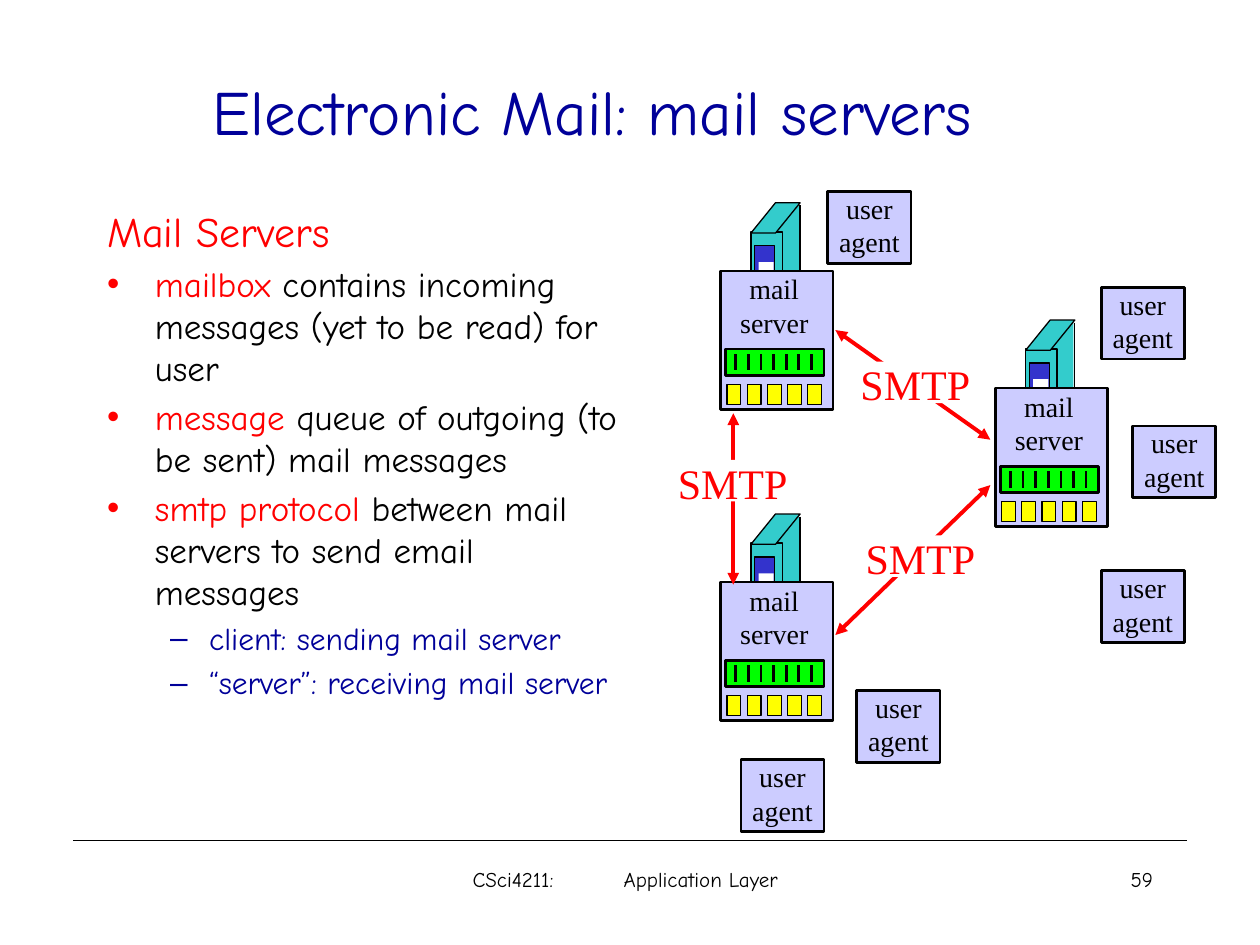
from pptx import Presentation
from pptx import util as u
from pptx.dml.color import RGBColor
from pptx.enum import shapes, text
from pptx.oxml import xmlchemy
from pptx.oxml.ns import qn

BLACK = RGBColor(0x00, 0x00, 0x00)
WHITE = RGBColor(0xFF, 0xFF, 0xFF)
RED = RGBColor(0xFF, 0x00, 0x00)
NAVY = RGBColor(0x00, 0x00, 0x99)
BLUE = RGBColor(0x33, 0x33, 0xCC)
TEAL = RGBColor(0x33, 0xCC, 0xCC)
LAVENDER = RGBColor(0xCC, 0xCC, 0xFF)
GREEN = RGBColor(0x00, 0xFF, 0x00)
YELLOW = RGBColor(0xFF, 0xFF, 0x00)

SERVERS = [(7.9, 3.08), (5.72, 4.62), (5.72, 2.15)]
AGENTS = [(8.74, 2.28), (8.99, 3.38), (8.74, 4.53), (6.8, 5.48), (5.88, 6.03), (6.57, 1.52)]
LINKS = [(6.63, 2.62, 7.86, 3.49), (6.63, 5.04, 7.86, 3.85), (5.82, 4.64, 5.82, 3.28)]
PROTOCOL_LABELS = [(6.83, 4.25), (6.79, 2.87), (5.34, 3.65)]
BODY = [
    (None, 24, [("Mail Servers", RED)]),
    ("•", 20, [("mailbox", RED), (" contains incoming messages (yet to be read) for user", BLACK)]),
    ("•", 20, [("message", RED), (" queue of outgoing (to be sent) mail messages", BLACK)]),
    ("•", 20, [("smtp protocol", RED), (" between mail servers to send email messages", BLACK)]),
    ("–", 18, [("client: sending mail server", NAVY)]),
    ("–", 18, [("“server”: receiving mail server", NAVY)]),
]


class MailSlide:
    """Draws the elements of the mail server slide in one shared style."""

    text_font = "Comic Neue"
    diagram_font = "Times New Roman"

    def __init__(self, slide):
        self.slide = slide

    def format_font(self, font, size, color, name=text_font):
        font.size = u.Pt(size)
        font.color.rgb = color
        font.name = name

    def place(self, shape, left, top, width, height):
        shape.left, shape.top = u.Inches(left), u.Inches(top)
        shape.width, shape.height = u.Inches(width), u.Inches(height)
        shape.text_frame.auto_size = text.MSO_AUTO_SIZE.NONE

    def title(self, wording):
        shape = self.slide.shapes.title
        self.place(shape, 0.45, 0.25, 8.5, 1.25)
        shape.text_frame.text = wording
        shape.text_frame.vertical_anchor = text.MSO_ANCHOR.MIDDLE
        paragraph = shape.text_frame.paragraphs[0]
        paragraph.alignment = text.PP_ALIGN.CENTER
        self.format_font(paragraph.runs[0].font, 36, NAVY)

    def body(self, items):
        shape = self.slide.placeholders[1]
        self.place(shape, 0.75, 1.58, 4.3, 4.5)
        frame = shape.text_frame
        for index, (bullet, size, pieces) in enumerate(items):
            paragraph = frame.add_paragraph() if index else frame.paragraphs[0]
            paragraph.level = 1 if bullet == "–" else 0
            margin, indent = (0.81, -0.31) if paragraph.level else (0.38, -0.38)
            paragraph.space_before = u.Pt(size * 0.2 if index else 0)
            properties = paragraph._p.get_or_add_pPr()
            properties.set("marL", str(u.Inches(margin)))
            properties.set("indent", str(u.Inches(indent)))
            if bullet:
                xmlchemy.OxmlElement("a:buChar")
                mark = properties.makeelement(qn("a:buChar"), {"char": bullet})
            else:
                mark = properties.makeelement(qn("a:buNone"), {})
            properties.append(mark)
            for wording, color in pieces:
                run = paragraph.add_run()
                run.text = wording
                self.format_font(run.font, size, color)

    def box(self, left, top, width, height, fill, line=0, kind=shapes.MSO_SHAPE.RECTANGLE):
        shape = self.slide.shapes.add_shape(
            kind, u.Inches(left), u.Inches(top), u.Inches(width), u.Inches(height))
        shape.shadow.inherit = False
        shape.fill.solid()
        shape.fill.fore_color.rgb = fill
        if line:
            shape.line.color.rgb = BLACK
            shape.line.width = u.Pt(line)
        else:
            shape.line.fill.background()
        return shape

    def line(self, x1, y1, x2, y2, width=0.75, color=BLACK, arrows=False):
        connector = self.slide.shapes.add_connector(
            shapes.MSO_CONNECTOR.STRAIGHT,
            u.Inches(x1), u.Inches(y1), u.Inches(x2), u.Inches(y2))
        connector.line.color.rgb = color
        connector.line.width = u.Pt(width)
        if arrows:
            outline = connector.line._get_or_add_ln()
            for end in ("a:headEnd", "a:tailEnd"):
                outline.append(outline.makeelement(qn(end), {"type": "triangle"}))
        properties = connector._element.spPr
        properties.append(properties.makeelement(qn("a:effectLst"), {}))

    def label(self, wording, left, top, width, height, size=16, color=BLACK,
              name=diagram_font, align=text.PP_ALIGN.CENTER, wrap=False):
        shape = self.slide.shapes.add_textbox(
            u.Inches(left), u.Inches(top), u.Inches(width), u.Inches(height))
        frame = shape.text_frame
        frame.word_wrap = wrap
        frame.text = wording
        for paragraph in frame.paragraphs:
            paragraph.alignment = align
            for run in paragraph.runs:
                self.format_font(run.font, size, color, name)
        return shape

    def server(self, x, y):
        self.box(x + 0.44, y - 0.53, 0.18, 0.78, TEAL)
        self.box(x + 0.24, y - 0.31, 0.25, 0.78, TEAL, 0.75)
        roof = self.box(x + 0.24, y - 0.54, 0.39, 0.24, TEAL, 0.75,
                        shapes.MSO_SHAPE.PARALLELOGRAM)
        roof.adjustments[0] = 0.81
        self.line(x + 0.63, y - 0.52, x + 0.63, y + 0.25)
        self.box(x + 0.27, y - 0.2, 0.16, 0.45, BLUE, 0.75)
        self.box(x + 0.3, y - 0.07, 0.12, 0.16, WHITE)
        self.box(x, y, 0.89, 1.1, LAVENDER, 1.5)
        self.label("mail\nserver", x + 0.05, y - 0.04, 0.75, 0.64)
        self.box(x + 0.04, y + 0.62, 0.78, 0.21, GREEN, 1.5)
        for slot in range(7):
            slot_x = x + 0.12 + 0.1 * slot
            self.line(slot_x, y + 0.66, slot_x, y + 0.79, 1.5)
        for mailbox in range(5):
            self.box(x + 0.05 + 0.16 * mailbox, y + 0.9, 0.11, 0.16, YELLOW, 0.75)

    def agent(self, x, y):
        self.box(x, y, 0.66, 0.57, LAVENDER, 1.5)
        self.label("user\nagent", x - 0.01, y - 0.05, 0.68, 0.64)

    def protocol(self, x, y):
        self.box(x, y, 0.94, 0.33, WHITE)
        self.label("SMTP", x - 0.06, y - 0.07, 1.07, 0.5, 24, RED)

    def footer(self, wording, number):
        self.line(0.58, 6.67, 9.42, 6.67)
        course = self.label(wording, 3.33, 6.83, 3.25, 0.5, 12, BLACK, self.text_font,
                            text.PP_ALIGN.LEFT, True)
        course.text_frame.margin_left = u.Inches(0.42)
        properties = course.text_frame.paragraphs[0]._p.get_or_add_pPr()
        tabs = properties.makeelement(qn("a:tabLst"), {})
        tabs.append(tabs.makeelement(qn("a:tab"), {"pos": str(u.Inches(1.2)), "algn": "l"}))
        properties.append(tabs)
        self.label(number, 7.17, 6.83, 2.08, 0.5, 12, BLACK, self.text_font,
                   text.PP_ALIGN.RIGHT, True)


def main():
    presentation = Presentation()
    presentation.slide_width, presentation.slide_height = u.Inches(10), u.Inches(7.5)
    mail = MailSlide(presentation.slides.add_slide(presentation.slide_layouts[1]))
    mail.footer("CSci4211:\tApplication Layer", "59")
    mail.title("Electronic Mail: mail servers")
    mail.body(BODY)
    for position in SERVERS:
        mail.server(*position)
    for position in AGENTS:
        mail.agent(*position)
    for ends in LINKS:
        mail.line(*ends, width=2.25, color=RED, arrows=True)
    for position in PROTOCOL_LABELS:
        mail.protocol(*position)
    presentation.save("out.pptx")


if __name__ == "__main__":
    main()
